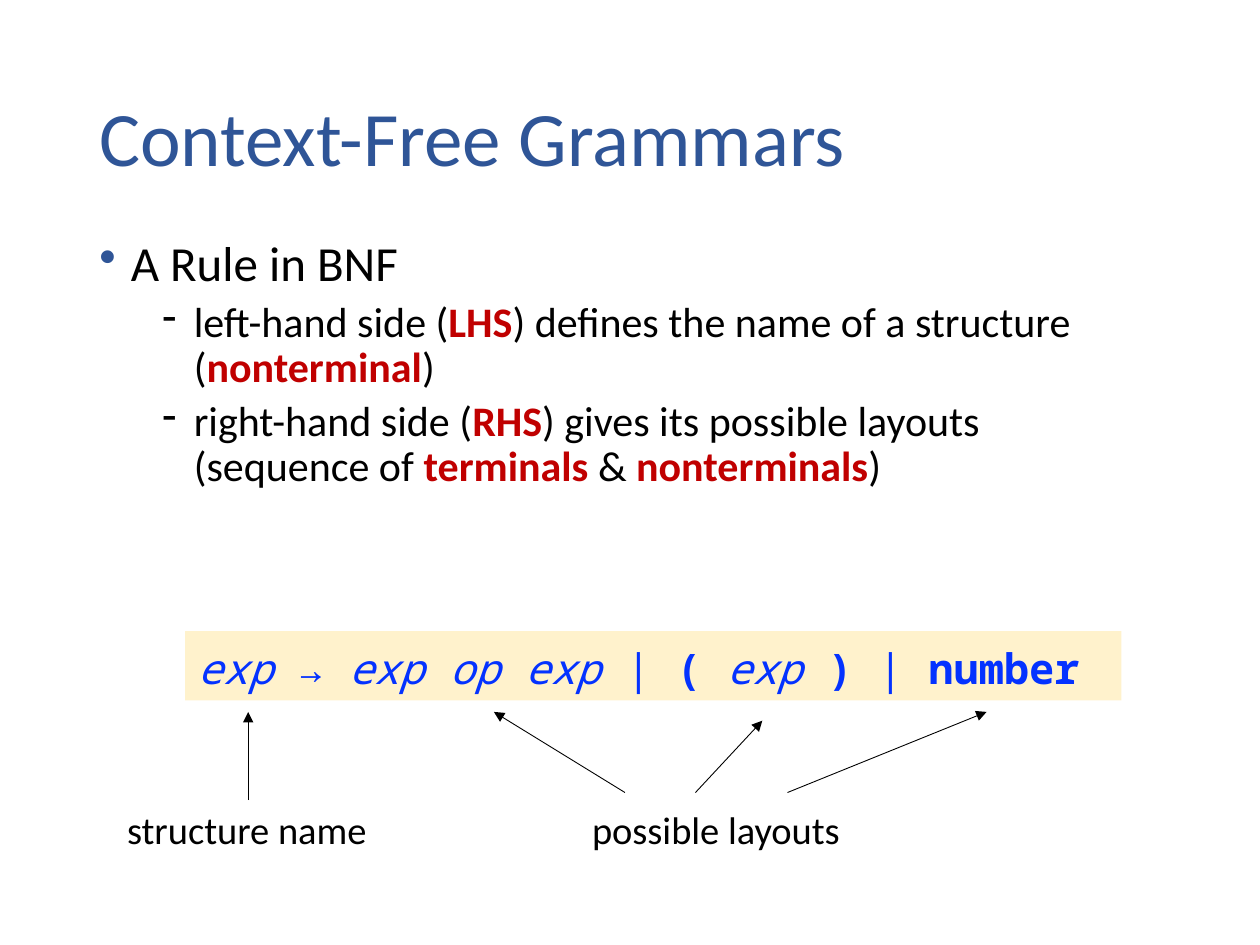
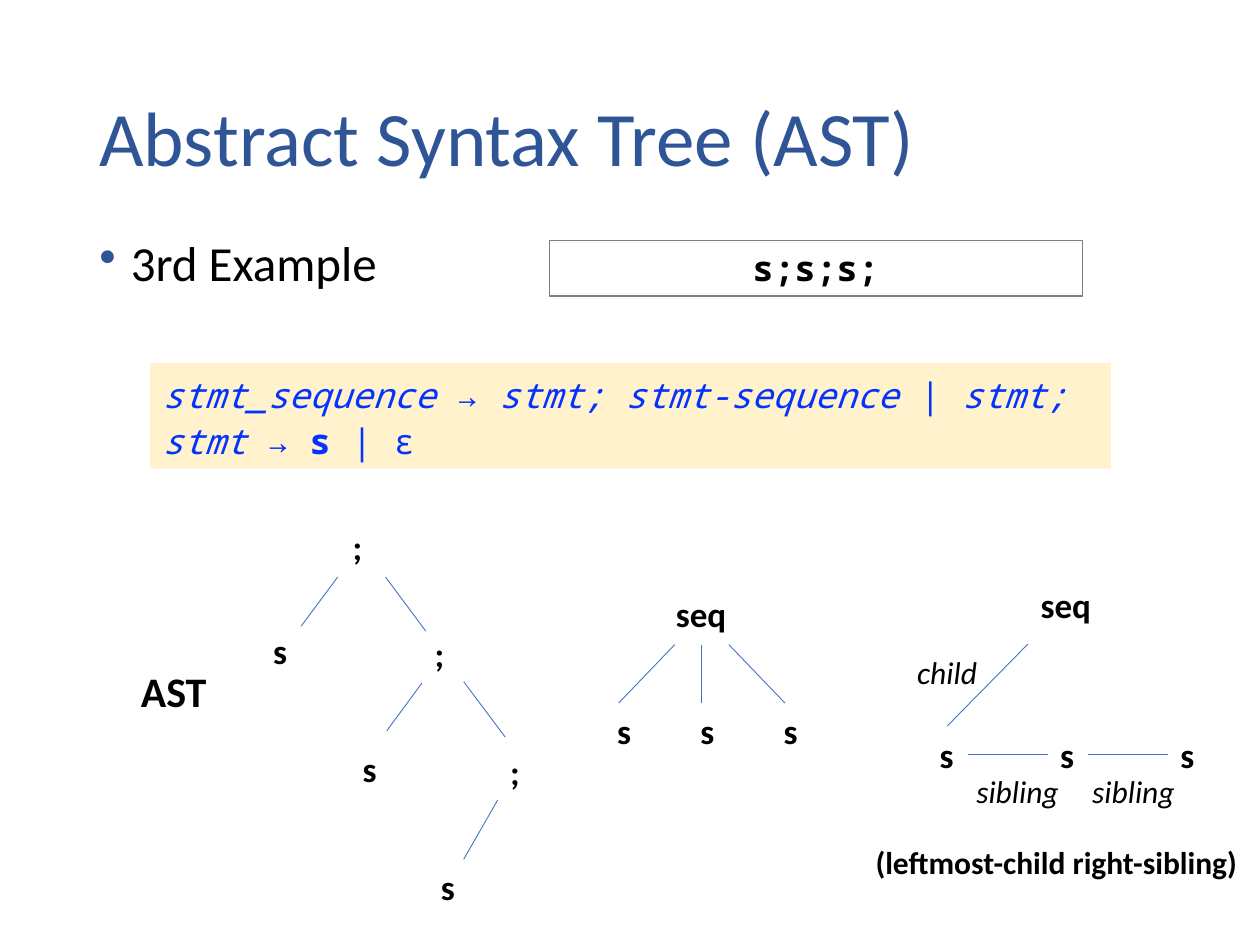
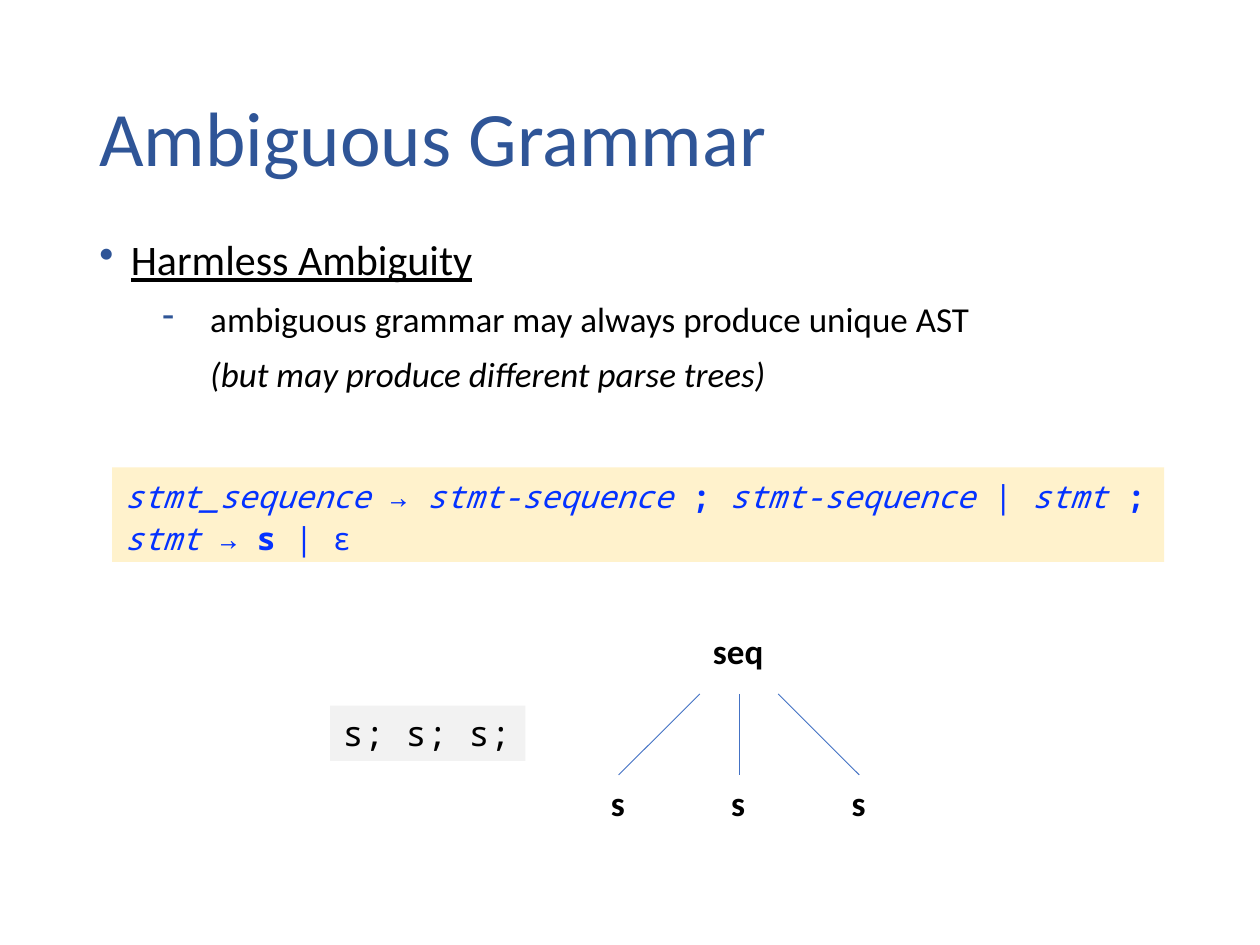
from lxml import etree
from pptx import Presentation
from pptx import util as u
from pptx.dml.color import RGBColor
from pptx.enum import shapes, text
from pptx.oxml.ns import qn

# Grid: 10 columns by 7.5 rows of one inch each
COLS, ROWS = 10, 7.5
INK = dict(title="2F5597", body="000000", key="C00000", rule="0432FF",
           cream="FFF2CC", pale="F2F2F2", frame="808080", edge="4472C4")
SANS, MONO = "Calibri", "Noto Sans Mono"
WIDE = {"s": 0.31, ";": 0.28, "seq": 0.61}  # node widths
TALL = 0.44  # node height


def rgb(name):
    return RGBColor.from_string(INK[name])


def grid(*cells):
    return [u.Inches(cell) for cell in cells]


# ---- Text ----
def bullet(para, mark, left, hang, ink):
    """Hang the paragraph and give it a bullet sign, if any."""
    props = para._p.get_or_add_pPr()
    props.set("marL", str(u.Inches(left)))
    props.set("indent", str(-u.Inches(hang)))
    if mark:
        tint = etree.SubElement(props, qn("a:buClr"))
        etree.SubElement(tint, qn("a:srgbClr"), val=INK[ink])
        etree.SubElement(props, qn("a:buChar"), char=mark)


def write(para, runs, size, face=SANS, ink="body", lead=None):
    """Runs are (text, marks); marks: b bold, i italic, u underline, k key."""
    if lead:
        para.line_spacing = lead
    font = para.font
    font.size, font.name = u.Pt(size), face
    font.color.rgb = rgb(ink)
    for words, marks in runs:
        run = para.add_run()
        run.text = words
        if "b" in marks or "k" in marks:
            run.font.bold = True
        if "i" in marks:
            run.font.italic = True
        if "u" in marks:
            run.font.underline = True
        if "k" in marks:
            run.font.color.rgb = rgb("key")


def lines(frame, count):
    return [frame.paragraphs[0]] + [frame.add_paragraph() for _ in range(count - 1)]


def label(sl, box, words, size=20, marks=""):
    frame = sl.shapes.add_textbox(*grid(*box)).text_frame
    frame.word_wrap = False
    frame.auto_size = text.MSO_AUTO_SIZE.SHAPE_TO_FIT_TEXT
    write(frame.paragraphs[0], [(words, marks)], size)


def title(sl, words):
    frame = sl.shapes.add_textbox(*grid(0.69, 0.4, 8.62, 1.45)).text_frame
    frame.word_wrap = True
    frame.vertical_anchor = text.MSO_ANCHOR.MIDDLE
    write(frame.paragraphs[0], [(words, "")], 44, ink="title", lead=0.9)


def body(sl, box, items):
    """Items are (runs, size, space before, (sign, left, hang, ink))."""
    frame = sl.shapes.add_textbox(*grid(*box)).text_frame
    frame.word_wrap = True
    paras = lines(frame, len(items))
    for para, (runs, size, gap, sign) in zip(paras, items):
        bullet(para, *sign)
        if para is not paras[0]:
            para.space_before = u.Pt(gap)
        write(para, runs, size, lead=0.9)


# ---- Code panels ----
def panel(sl, box, rows, size, ink="body", fill=None, line=None, lead=None,
          mid=False, wrap=True):
    shape = sl.shapes.add_shape(shapes.MSO_SHAPE.RECTANGLE, *grid(*box))
    shape.shadow.inherit = False
    if fill:
        shape.fill.solid()
        shape.fill.fore_color.rgb = rgb(fill)
    else:
        shape.fill.background()
    if line:
        shape.line.color.rgb = rgb(line)
        shape.line.width = u.Pt(0.75)
    else:
        shape.line.fill.background()
    frame = shape.text_frame
    frame.word_wrap = wrap
    frame.auto_size = text.MSO_AUTO_SIZE.SHAPE_TO_FIT_TEXT
    frame.vertical_anchor = text.MSO_ANCHOR.TOP
    for para, runs in zip(lines(frame, len(rows)), rows):
        para.alignment = text.PP_ALIGN.CENTER if mid else text.PP_ALIGN.LEFT
        write(para, runs, size, MONO, ink, lead)


def rule(sl, box, rows, size):
    panel(sl, box, rows, size, ink="rule", fill="cream", lead=1.1)


# ---- Lines and trees ----
def link(sl, ends, ink="edge", arrow=False):
    line = sl.shapes.add_connector(shapes.MSO_CONNECTOR.STRAIGHT, *grid(*ends))
    line.line.color.rgb = rgb(ink)
    line.line.width = u.Pt(0.5)
    props = line._element.spPr
    if arrow:
        etree.SubElement(props.find(qn("a:ln")), qn("a:tailEnd"), type="triangle")
    etree.SubElement(props, qn("a:effectLst"))


def tree(sl, left, top, nodes, edges):
    """Nodes (text, x, y) and edges (x, y, x, y) count from left and top."""
    for words, x, y in nodes:
        label(sl, (left + x, top + y, WIDE[words], TALL), words, marks="b")
    for x, y, to_x, to_y in edges:
        link(sl, (left + x, top + y, left + to_x, top + to_y))


def fan(sl, left, top, wide, tall, tip):
    """One seq node over three leaves; tip is where an edge meets a leaf."""
    step = (wide - WIDE["s"]) / 2
    low, high = tall - TALL, 0.34 * tall
    mid = step + tip
    nodes = [("seq", mid - WIDE["seq"] / 2, 0)]
    nodes += [("s", i * step, low) for i in range(3)]
    edges = [(mid + 0.325 * step * (i - 1), high, i * step + tip, low)
             for i in range(3)]
    tree(sl, left, top, nodes, edges)


def chain(sl, left, top):
    """Leftmost child, right sibling."""
    step, base = 0.955, 1.19
    nodes = [("seq", 0.8, 0)] + [("s", i * step, base) for i in range(3)]
    edges = [(0.8, 0.53, 0.16, 1.18)]
    edges += [(i * step + 0.32, 1.41, (i + 1) * step, 1.41) for i in range(2)]
    tree(sl, left, top, nodes, edges)
    label(sl, (left - 0.18, top + 0.55, 0.68, 0.4), "child", 18, "i")
    for x in (0.29, 1.21):
        label(sl, (left + x, top + 1.5, 0.86, 0.4), "sibling", 18, "i")
    label(sl, (left - 0.51, top + 2.06, 3.15, 0.4),
          "(leftmost-child right-sibling)", 18, "b")


# ---- Slides ----
DOT = ("•", 0.25, 0.25, "title")


def grammar(sl):
    title(sl, "Context-Free Grammars")
    dash = ("-", 0.75, 0.25, "body")
    body(sl, (0.69, 1.85, 8.63, 2.33), [
        ([("A Rule in BNF", "")], 28, 10, DOT),
        ([("left-hand side (", ""), ("LHS", "k"),
          (") defines the name of a structure (", ""),
          ("nonterminal", "k"), (")", "")], 24, 5, dash),
        ([("right-hand side (", ""), ("RHS", "k"),
          (") gives its possible layouts (sequence of ", ""),
          ("terminals ", "k"), ("& ", ""), ("nonterminals", "k"),
          (")", "")], 24, 5, dash)])
    rule(sl, (1.47, 5.01, 7.43, 0.55), [
        [("exp ", "i"), ("→ ", ""), ("exp op exp ", "i"), ("| ", ""),
         ("(", "b"), (" exp ", "i"), (") ", "b"), ("| ", ""),
         ("number", "b")]], 24)
    # Callouts under the rule
    label(sl, (4.6, 6.35, 2.19, 0.47), "possible layouts", 22)
    label(sl, (0.91, 6.35, 2.12, 0.47), "structure name", 22)
    for ends in ((4.96, 6.29, 3.92, 5.65), (5.52, 6.29, 6.05, 5.72),
                 (6.25, 6.29, 7.83, 5.65), (1.97, 6.35, 1.97, 5.65)):
        link(sl, ends, "body", arrow=True)


def syntax(sl):
    title(sl, "Abstract Syntax Tree (AST)")
    body(sl, (0.69, 1.85, 8.63, 1.73), [([("3rd Example", "")], 28, 10, DOT)])
    panel(sl, (4.36, 1.91, 4.23, TALL), [[("s;s;s;", "b")]], 20,
          line="frame", mid=True)
    rule(sl, (1.19, 2.88, 7.63, 0.84), [
        [("stmt_sequence", "i"), (" → ", ""), ("stmt; stmt-sequence ", "i"),
         ("| ", ""), ("stmt;", "i")],
        [("stmt ", "i"), ("→ ", ""), ("s ", "b"), ("| ε", "")]], 20)
    # Three forms of the tree
    label(sl, (1.02, 5.23, 0.73, 0.5), "AST", 24, "b")
    tree(sl, 2.07, 4.12,
         [(";", 0.63, 0), ("s", 0, 0.83), (";", 1.28, 0.85),
          ("s", 0.71, 1.76), (";", 1.88, 1.79), ("s", 1.33, 2.7)],
         [(0.61, 0.46, 0.32, 0.85), (0.99, 0.46, 1.31, 0.89),
          (1.28, 1.3, 1, 1.68), (1.61, 1.29, 1.94, 1.73),
          (1.88, 2.23, 1.61, 2.7)])
    fan(sl, 4.8, 4.65, 1.63, 1.37, tip=0.11)
    chain(sl, 7.36, 4.58)


def harmless(sl):
    title(sl, "Ambiguous Grammar")
    body(sl, (0.69, 1.85, 8.15, 1.68), [
        ([("Harmless Ambiguity", "u")], 24, 10, DOT),
        ([("ambiguous grammar may always produce unique AST", "")], 20, 10,
         ("-", 0.88, 0.38, "title")),
        ([("(but may produce different parse trees)", "i")], 20, 10,
         (None, 0.88, 0, "title"))])
    rule(sl, (0.89, 3.71, 8.35, 0.75), [
        [("stmt_sequence", "i"), (" → ", ""), ("stmt-sequence ", "i"),
         ("; ", "b"), ("stmt-sequence ", "i"), ("| ", ""), ("stmt ", "i"),
         (";", "b")],
        [("stmt ", "i"), ("→ ", ""), ("s ", "b"), ("| ε", "")]], 18)
    fan(sl, 4.75, 4.95, 2.22, 1.64, tip=0.16)
    panel(sl, (2.62, 5.6, 1.55, TALL), [[("s; s; s;", "")]], 20,
          fill="pale", wrap=False)


def main():
    deck = Presentation()
    deck.slide_width, deck.slide_height = grid(COLS, ROWS)
    for build in (grammar, syntax, harmless):
        build(deck.slides.add_slide(deck.slide_layouts[6]))
    deck.save("out.pptx")


if __name__ == "__main__":
    main()
